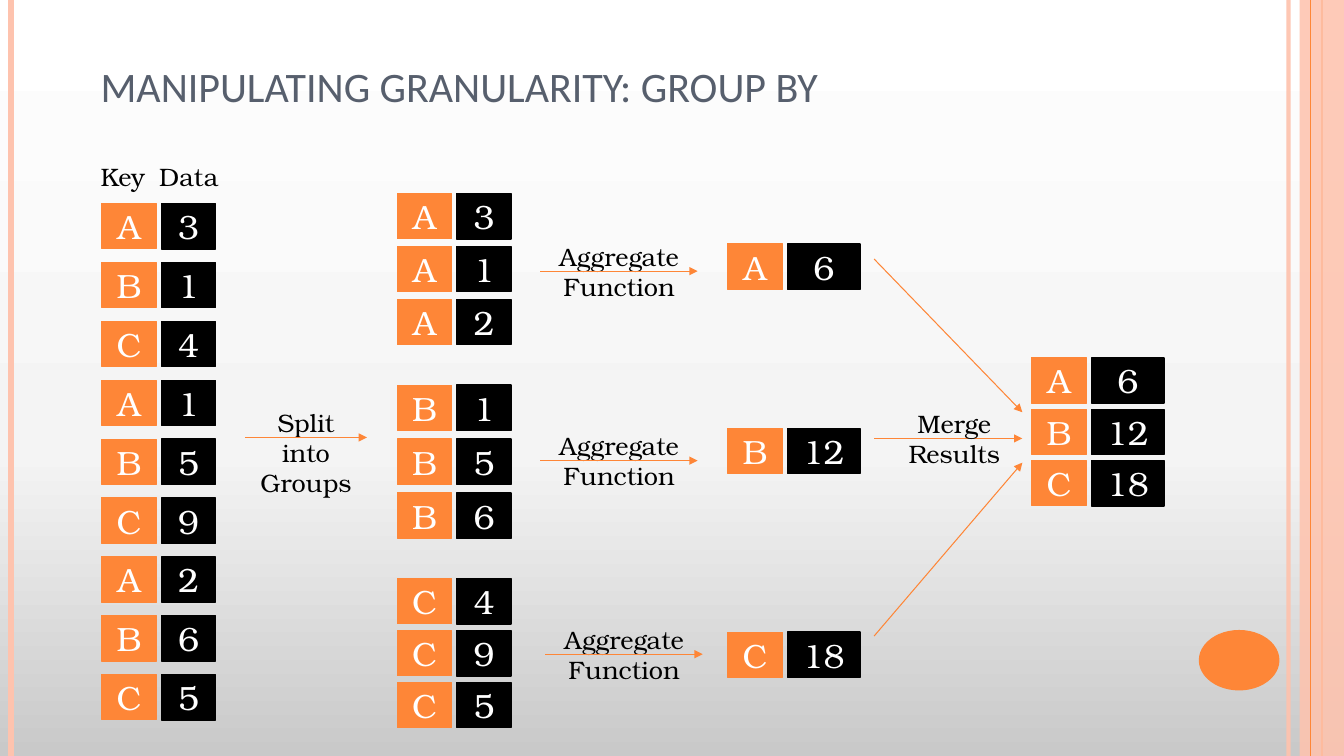
from copy import deepcopy

from lxml.etree import SubElement
from pptx import Presentation
from pptx.dml.color import RGBColor
from pptx.enum.shapes import MSO_CONNECTOR, MSO_SHAPE
from pptx.enum.text import MSO_ANCHOR, PP_ALIGN
from pptx.oxml.ns import qn
from pptx.util import Inches, Pt

ORANGE, PEACH, BLACK, WHITE, SLATE = "FE8637", "FEC3AE", "000000", "FFFFFF", "575F6D"
SERIF = "TeX Gyre Bonum"
RECORDS = [("A", 3), ("B", 1), ("C", 4), ("A", 1), ("B", 5),
           ("C", 9), ("A", 2), ("B", 6), ("C", 5)]
GROUP_STACKS = {"A": (1.92, 0.525), "B": (3.82, 0.535), "C": (5.74, 0.515)}
AGGREGATE_STEPS = {"A": (5.36, 2.34, 2.42), "B": (5.36, 4.22, 4.25), "C": (5.41, 6.14, 6.27)}
MERGE_ARROWS = [(2.57, 4.09), (4.35, 4.35), (6.31, 4.59)]


def color(hex_code):
    """Turn a hex string into a colour."""
    return RGBColor.from_string(hex_code)


def paint(fill, hex_code):
    """Give a fill one solid colour."""
    fill.solid()
    fill.fore_color.rgb = color(hex_code)


def fade(shape, percent):
    """Set the opacity of the first colour of a shape."""
    tint = next(shape.element.iter(qn("a:srgbClr")))
    SubElement(tint, qn("a:alpha"), val=str(percent * 1000))


def write(frame, text, size=18, font=SERIF, ink=BLACK, align=PP_ALIGN.LEFT,
          anchor=MSO_ANCHOR.TOP, spacing=None):
    """Write text into a frame, one paragraph for each line."""
    frame.word_wrap = True
    frame.vertical_anchor = anchor
    frame.text = text
    for paragraph in frame.paragraphs:
        paragraph.alignment = align
        paragraph.line_spacing = spacing
        paragraph.font.size = Pt(size)
        paragraph.font.name = font
        paragraph.font.color.rgb = color(ink)


def add_label(slide, text, left, top, width, height, **text_format):
    """Place a text box."""
    label = slide.shapes.add_textbox(Inches(left), Inches(top), Inches(width), Inches(height))
    write(label.text_frame, text, **text_format)


def add_block(shapes, preset, left, top, width, height, fill, outline=None):
    """Place a filled preset shape, with an outline if a width is given."""
    block = shapes.add_shape(preset, Inches(left), Inches(top), Inches(width), Inches(height))
    block.shadow.inherit = False
    paint(block.fill, fill)
    if outline:
        paint(block.line.fill, fill)
        block.line.width = Pt(outline)
    else:
        block.line.fill.background()
    return block


def add_rule(slide, start, end, hex_code=ORANGE, width=0.75, arrow=False):
    """Draw a straight line, with an arrowhead at its end if asked."""
    rule = slide.shapes.add_connector(MSO_CONNECTOR.STRAIGHT, *map(Inches, start + end))
    paint(rule.line.fill, hex_code)
    rule.line.width = Pt(width)
    properties = rule.element.spPr
    if arrow:
        SubElement(properties.find(qn("a:ln")), qn("a:tailEnd"), type="triangle")
    SubElement(properties, qn("a:effectLst"))
    return rule


def add_record(slide, key, value, left, top, value_width=0.54):
    """Draw a key cell beside its value cell as one group."""
    record = slide.shapes.add_group_shape()
    cells = [(key, left, 0.54, ORANGE, 0.75), (value, left + 0.59, value_width, BLACK, 1)]
    for content, cell_left, width, fill, outline in cells:
        cell = add_block(record.shapes, MSO_SHAPE.RECTANGLE, cell_left, top, width, 0.45,
                         fill, outline)
        write(cell.text_frame, str(content), size=24, ink=WHITE, align=PP_ALIGN.CENTER,
              anchor=MSO_ANCHOR.MIDDLE)


def add_step(slide, text, left, top, width):
    """Draw a centred step label with an arrow running through it."""
    add_label(slide, text, left, top, width, 0.71, align=PP_ALIGN.CENTER)
    add_rule(slide, (left, top + 0.35), (left + width, top + 0.35), arrow=True)


def add_backdrop(slide):
    """Draw the gradient background and the decoration at the sides."""
    fill = slide.background.fill
    fill.gradient()
    fill.gradient_angle = 90
    stop_list = next(slide.element.iter(qn("a:gsLst")))
    stop_list.append(deepcopy(stop_list[0]))
    shades = [(0, "C9C9C9"), (0.4, "F4F4F4"), (1, WHITE)]
    for stop, (position, shade) in zip(fill.gradient_stops, shades):
        stop.position = position
        stop.color.rgb = color(shade)

    inner_rule = add_rule(slide, (12.78, 0), (12.78, 7.5), PEACH, 3)
    fade(inner_rule, 93)
    add_rule(slide, (0.11, 0), (0.11, 7.5), PEACH, 4.5)
    add_rule(slide, (13.11, 0), (13.11, 7.5), ORANGE, 1.5)
    side_band = add_block(slide.shapes, MSO_SHAPE.RECTANGLE, 12.89, 0, 0.44, 7.5, PEACH)
    fade(side_band, 87)
    add_rule(slide, (13, 0), (13, 7.5))
    add_block(slide.shapes, MSO_SHAPE.OVAL, 11.89, 6.25, 0.8, 0.6, ORANGE)


def main():
    """Build the slide."""
    deck = Presentation()
    deck.slide_width, deck.slide_height = Inches(13.33), Inches(7.5)
    slide = deck.slides.add_slide(deck.slide_layouts[6])
    add_backdrop(slide)
    add_label(slide, "MANIPULATING GRANULARITY: GROUP BY", 0.9, 0, 11, 1.76, size=30,
              font="Calibri", ink=SLATE, anchor=MSO_ANCHOR.MIDDLE, spacing=0.9)
    add_label(slide, "Key", 0.9, 1.55, 0.65, 0.4)
    add_label(slide, "Data", 1.48, 1.55, 0.82, 0.4)

    for row, (key, value) in enumerate(RECORDS):
        add_record(slide, key, value, 1.01, 2.02 + row * 0.584)
    add_step(slide, "Split into\nGroups", 2.43, 3.99, 1.21)

    for rank, (key, (stack_top, pitch)) in enumerate(GROUP_STACKS.items()):
        members = [value for record_key, value in RECORDS if record_key == key]
        for row, value in enumerate(members):
            add_record(slide, key, value, 3.94, stack_top + row * pitch)
        step_left, step_top, total_top = AGGREGATE_STEPS[key]
        add_step(slide, "Aggregate\nFunction", step_left, step_top, 1.56)
        add_record(slide, key, sum(members), 7.22, total_top, 0.72)
        add_record(slide, key, sum(members), 10.235, 3.55 + rank * 0.51, 0.72)

    for start_top, end_top in MERGE_ARROWS:
        add_rule(slide, (8.67, start_top), (10.14, end_top), arrow=True)
    add_label(slide, "Merge\nResults", 8.9, 4, 1.13, 0.71, align=PP_ALIGN.CENTER)
    deck.save("out.pptx")


if __name__ == "__main__":
    main()
